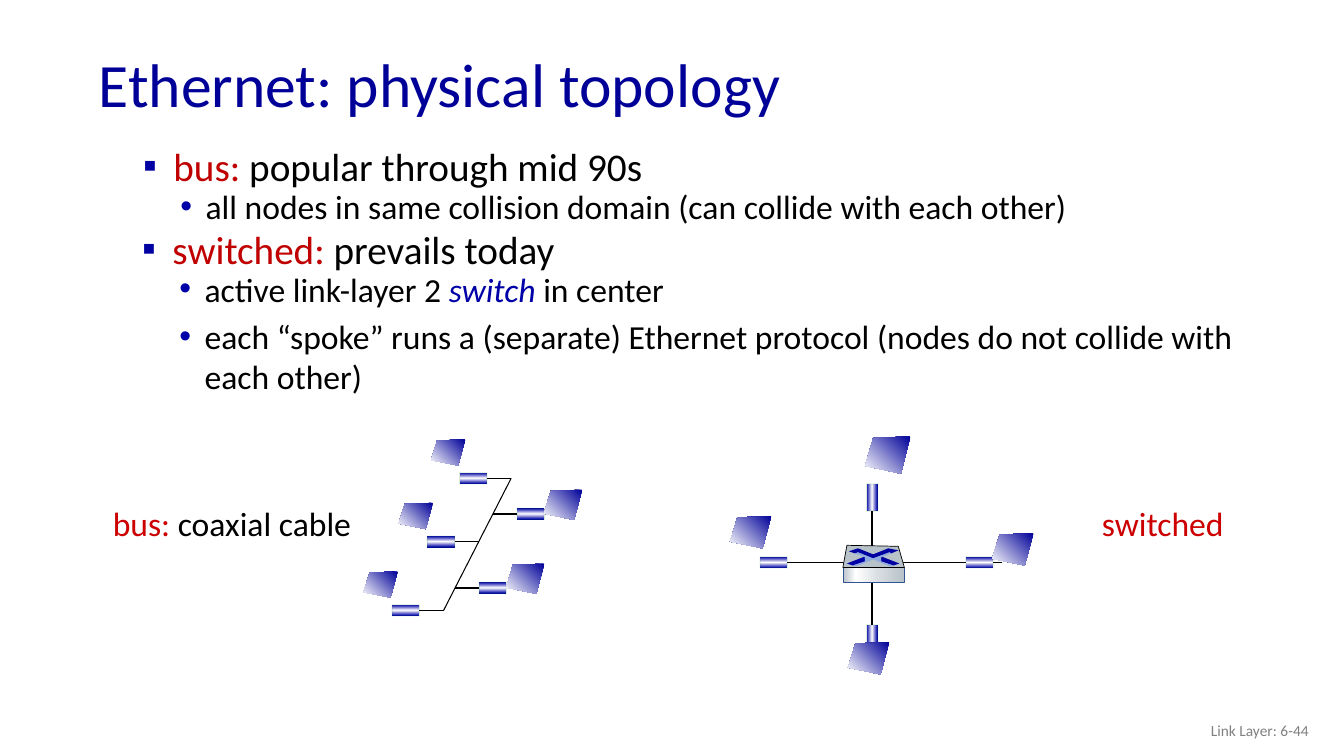
from dataclasses import dataclass

from lxml.etree import SubElement
from pptx import Presentation
from pptx.dml.color import RGBColor
from pptx.enum.shapes import MSO_CONNECTOR, MSO_SHAPE
from pptx.enum.text import MSO_ANCHOR, MSO_AUTO_SIZE, PP_ALIGN
from pptx.oxml.ns import qn
from pptx.util import Emu, Inches, Pt


@dataclass(frozen=True)
class Theme:
    font: str = "Calibri"
    title: str = "000099"
    text: str = "000000"
    term: str = "C00000"
    caption: str = "CC0000"
    accent: str = "0000A8"
    square_bullet: str = "0000A3"
    footer: str = "808080"
    white: str = "FFFFFF"
    adapter_line: str = "008000"
    metal: str = "B8C2C9"
    metal_light: str = "D6DCE0"
    metal_line: str = "325491"
    arrow_light: str = "8FAADC"
    title_size: int = 44
    topic_size: int = 28
    detail_size: int = 24
    caption_size: int = 24
    footer_size: int = 11


THEME = Theme()
COLUMNS, ROWS = 133.3, 75
CELL = Inches(7.5) / ROWS
LEFT_SIDE, RIGHT_SIDE = -1, 1
TOP, LEFT, BOTTOM, RIGHT = range(4)

MONITOR_OUTLINE = [(1, 0), (0.18, 0.04), (0, 0.79), (0.79, 1)]
SWITCH_LEFT, SWITCH_TOP = 83.6, 54.1
SWITCH_LID = [(0, 2.2), (0.4, 0), (5.5, 0.1), (6.1, 2.2)]
# Arrow outlines on the lid, in cells from the switch's top left corner
SWITCH_ARROWS = [
    ([(4.5, 0.3), (5.5, 0.5), (4.8, 0.8), (4.6, 0.7), (3, 1.3), (1.5, 0.7),
      (1.2, 0.8), (0.6, 0.6), (1.5, 0.3), (3, 0.9)], THEME.square_bullet),
    ([(3.8, 1.1), (5.6, 1.8), (5, 2), (3.8, 1.6)], THEME.square_bullet),
    ([(2.2, 1.1), (2.2, 1.6), (1, 2), (0.4, 1.8)], THEME.accent),
    ([(1.2, 0.8), (1.5, 0.7), (3, 1.3), (4.6, 0.7), (4.8, 0.8), (3.8, 1.2),
      (3.8, 1.6), (5, 2), (4.7, 2.1), (3, 1.4), (1.3, 2.1), (1, 2),
      (2.2, 1.6), (2.2, 1.2)], THEME.arrow_light),
]


def cells(*counts):
    return [Emu(round(count * CELL)) for count in counts]


def color(value):
    return RGBColor.from_string(value)


def move(shape, left, top, width, height):
    shape.left, shape.top, shape.width, shape.height = cells(left, top, width, height)


def write_runs(paragraph, runs, size):
    """Write (text, colour) runs; a third item makes the run italic."""
    for text, run_color, *italic in runs:
        run = paragraph.add_run()
        run.text = text
        run.font.name = THEME.font
        run.font.size = Pt(size)
        run.font.color.rgb = color(run_color)
        run.font.italic = bool(italic)


def set_bullet(paragraph, character, bullet_color, margin, hanging):
    properties = paragraph._p.get_or_add_pPr()
    properties.set("marL", str(Inches(margin)))
    properties.set("indent", str(-Inches(hanging)))
    bullet = SubElement(properties, qn("a:buClr"))
    SubElement(bullet, qn("a:srgbClr"), val=bullet_color)
    SubElement(properties, qn("a:buFont"), typeface="Arial")
    SubElement(properties, qn("a:buChar"), char=character)


def fill_title(shape, text):
    move(shape, 8.8, 3.8, 115, 9.8)
    frame = shape.text_frame
    frame.auto_size = MSO_AUTO_SIZE.NONE
    frame.vertical_anchor = MSO_ANCHOR.MIDDLE
    paragraph = frame.paragraphs[0]
    paragraph.alignment = PP_ALIGN.LEFT
    paragraph.line_spacing = 0.9
    write_runs(paragraph, [(text, THEME.title)], THEME.title_size)


def fill_topic(shape, place, topic, details):
    """Write a topic line and its details, each detail as (runs, line spacing)."""
    move(shape, *place)
    frame = shape.text_frame
    frame.auto_size = MSO_AUTO_SIZE.NONE
    paragraph = frame.paragraphs[0]
    paragraph.line_spacing = 0.75
    paragraph.space_before = Pt(0)
    set_bullet(paragraph, "▪", THEME.square_bullet, 0.44, 0.3)
    write_runs(paragraph, topic, THEME.topic_size)
    for runs, spacing in details:
        paragraph = frame.add_paragraph()
        paragraph.level = 1
        paragraph.line_spacing = spacing
        paragraph.space_before = Pt(5)
        set_bullet(paragraph, "•", THEME.accent, 0.76, 0.25)
        write_runs(paragraph, runs, THEME.detail_size)


def add_label(slide, place, runs, size, wrap=False, alignment=PP_ALIGN.LEFT):
    frame = slide.shapes.add_textbox(*cells(*place)).text_frame
    frame.word_wrap = wrap
    frame.vertical_anchor = MSO_ANCHOR.MIDDLE if wrap else MSO_ANCHOR.TOP
    frame.paragraphs[0].alignment = alignment
    write_runs(frame.paragraphs[0], runs, size)


def fill_gradient(shape, stops, angle):
    """Fill with (percent, colour) stops; the angle runs clockwise."""
    shape.fill.gradient()
    gradient = shape._element.spPr.find(qn("a:gradFill"))
    stop_list = gradient.find(qn("a:gsLst"))
    for stop in list(stop_list):
        stop_list.remove(stop)
    for percent, stop_color in stops:
        stop = SubElement(stop_list, qn("a:gs"), pos=str(percent * 1000))
        SubElement(stop, qn("a:srgbClr"), val=stop_color)
    gradient.find(qn("a:lin")).set("ang", str(angle * 60000))


def set_line(shape, line_color, width):
    shape.line.color.rgb = color(line_color)
    shape.line.width = Pt(width)


def add_box(slide, place, stops, angle, line_color, line_width):
    box = slide.shapes.add_shape(MSO_SHAPE.RECTANGLE, *cells(*place))
    box.shadow.inherit = False
    fill_gradient(box, stops, angle)
    set_line(box, line_color, line_width)
    return box


def add_outline(slide, left, top, points):
    corners = [cells(left + x, top + y) for x, y in points]
    builder = slide.shapes.build_freeform(*corners[0])
    builder.add_line_segments(corners[1:], close=True)
    shape = builder.convert_to_shape()
    shape.shadow.inherit = False
    shape.line.fill.background()
    return shape


def add_monitor(slide, left, top, width, height):
    points = [(x * width, y * height) for x, y in MONITOR_OUTLINE]
    monitor = add_outline(slide, left, top, points)
    fill_gradient(monitor, [(0, THEME.title), (100, THEME.white)], 135)


def add_adapter(slide, center_x, center_y, upright=False):
    width, height = (1.1, 2.7) if upright else (2.7, 1.1)
    place = (center_x - width / 2, center_y - height / 2, width, height)
    stops = [(0, THEME.accent), (50, THEME.white), (99, THEME.accent)]
    adapter = add_box(slide, place, stops, 0 if upright else 90, THEME.adapter_line, 0.75)
    line_color = adapter.line._ln.find(".//" + qn("a:srgbClr"))
    SubElement(line_color, qn("a:alpha"), val="15000")
    return adapter


def add_cable(slide, start, end, width=1):
    cable = slide.shapes.add_connector(MSO_CONNECTOR.STRAIGHT, *cells(*start, *end))
    set_line(cable, THEME.text, width)
    SubElement(cable._element.spPr, qn("a:effectLst"))
    return cable


def add_bus_station(slide, tap, side):
    adapter_x = tap[0] + side * 3.75
    adapter = add_adapter(slide, adapter_x, tap[1])
    cable = add_cable(slide, (adapter_x, tap[1]), tap)
    cable.begin_connect(adapter, RIGHT if side == LEFT_SIDE else LEFT)
    if side == LEFT_SIDE:
        add_monitor(slide, adapter_x - 4.2, tap[1] - 3.85, 3.4, 2.6)
    else:
        add_monitor(slide, adapter_x + 1.3, tap[1] - 2.4, 3.8, 3)


def add_bus(slide):
    (start_x, start_y), (end_x, end_y) = start, end = (50.7, 47.45), (44, 60.55)
    add_cable(slide, start, end, 0.75)
    stations = [(0, LEFT_SIDE), (0.48, LEFT_SIDE), (1, LEFT_SIDE),
                (0.83, RIGHT_SIDE), (0.27, RIGHT_SIDE)]
    for share, side in stations:
        tap = (start_x + share * (end_x - start_x), start_y + share * (end_y - start_y))
        add_bus_station(slide, tap, side)


def add_switch(slide):
    stops = [(0, THEME.metal), (21, THEME.white), (60, THEME.metal_light), (100, THEME.metal)]
    place = (SWITCH_LEFT, SWITCH_TOP + 2.2, 6.1, 1.5)
    add_box(slide, place, stops, 0, THEME.metal_line, 0.5)
    lid = add_outline(slide, SWITCH_LEFT, SWITCH_TOP, SWITCH_LID)
    lid.fill.solid()
    lid.fill.fore_color.rgb = color(THEME.metal)
    set_line(lid, THEME.text, 0.5)
    for points, arrow_color in SWITCH_ARROWS:
        arrow = add_outline(slide, SWITCH_LEFT, SWITCH_TOP, points)
        arrow.fill.solid()
        arrow.fill.fore_color.rgb = color(arrow_color)


def add_star(slide):
    center_x, center_y = 86.5, 55.8
    upper = add_adapter(slide, center_x, 49.35, upright=True)
    lower = add_adapter(slide, center_x, 63.35, upright=True)
    upright_cable = add_cable(slide, (center_x, 50.7), (center_x, 62))
    upright_cable.begin_connect(upper, BOTTOM)
    upright_cable.end_connect(lower, TOP)
    left_adapter = add_adapter(slide, 76.75, center_y)
    level_cable = add_cable(slide, (78.1, center_y), (99.4, center_y))
    level_cable.begin_connect(left_adapter, RIGHT)
    add_adapter(slide, 97.15, center_y)
    for left, top in [(72.4, 51.2), (98.4, 52.9), (84.1, 63.7)]:
        add_monitor(slide, left, top, 4.1, 3.2)
    add_monitor(slide, 85.8, 43.3, 4.5, 3.7)
    add_switch(slide)


def main():
    presentation = Presentation()
    presentation.slide_width, presentation.slide_height = cells(COLUMNS, ROWS)
    two_content = presentation.slide_layouts[3]
    slide = presentation.slides.add_slide(two_content)
    title, bus_list, switched_list = slide.placeholders
    fill_title(title, "Ethernet: physical topology")
    fill_topic(
        bus_list, (11.8, 14.7, 118.5, 10.1),
        [("bus: ", THEME.term), ("popular through mid 90s", THEME.text)],
        [([("all nodes in same collision domain (can collide with each other)", THEME.text)], 0.75)])
    fill_topic(
        switched_list, (11.7, 22.9, 118.5, 17.9),
        [("switched: ", THEME.term), ("prevails today", THEME.text)],
        [([("active link-layer 2 ", THEME.text), ("switch ", THEME.accent, "italic"),
           ("in center", THEME.text)], 0.75),
         ([("each “spoke” runs a (separate) Ethernet protocol "
            "(nodes do not collide with each other)", THEME.text)], 1)])
    add_label(slide, (10.2, 49.4, 25.8, 5),
              [("bus: ", THEME.caption), ("coaxial cable", THEME.text)], THEME.caption_size)
    add_label(slide, (108.3, 49.4, 14.2, 5), [("switched", THEME.caption)], THEME.caption_size)
    add_label(slide, (100.8, 70.5, 30, 4), [("Link Layer: 6-44", THEME.footer)],
              THEME.footer_size, wrap=True, alignment=PP_ALIGN.RIGHT)
    add_bus(slide)
    add_star(slide)
    presentation.save("out.pptx")


if __name__ == "__main__":
    main()
